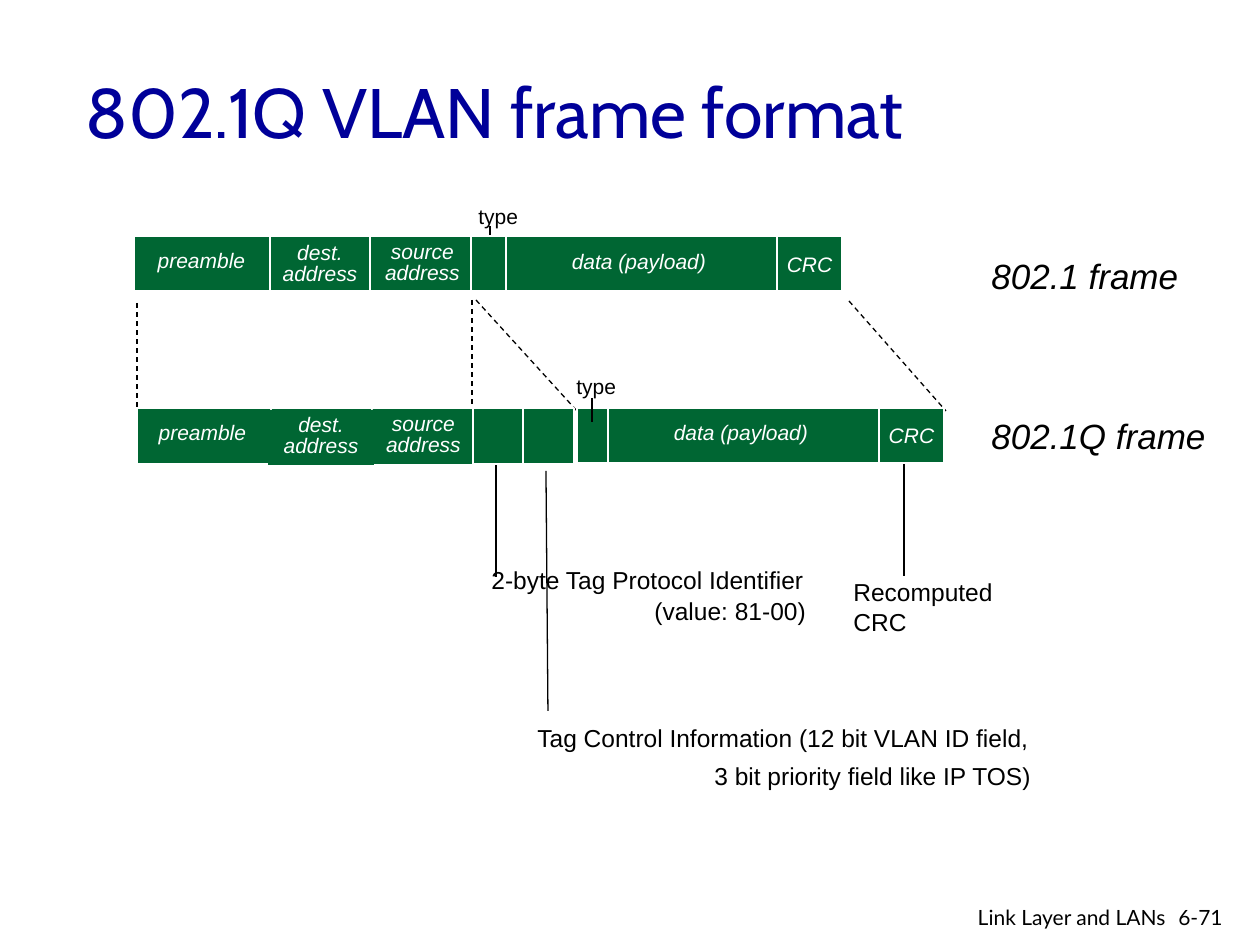
from pptx import Presentation
from pptx.dml.color import RGBColor
from pptx.enum.dml import MSO_LINE
from pptx.enum.shapes import MSO_CONNECTOR, MSO_SHAPE
from pptx.enum.text import MSO_ANCHOR, PP_ALIGN
from pptx.oxml.ns import qn
from pptx.util import Emu, Pt
from lxml import etree

PIXELS_PER_INCH = 126
STRAIGHT, RECTANGLE, DASH = MSO_CONNECTOR.STRAIGHT, MSO_SHAPE.RECTANGLE, MSO_LINE.DASH
LEFT, CENTER, RIGHT = PP_ALIGN.LEFT, PP_ALIGN.CENTER, PP_ALIGN.RIGHT
TOP, MIDDLE = MSO_ANCHOR.TOP, MSO_ANCHOR.MIDDLE
GREEN, WHITE, BLACK, NAVY = "006633", "FFFFFF", "000000", "000099"


def px(length):
    return Emu(round(length * 914400 / PIXELS_PER_INCH))


def color(value):
    return RGBColor.from_string(value)


class SlideBuilder:
    """Holds the text style and the current slide."""

    font_name = "Arial"
    footer_font = "Lato"
    title_font = "Cabin"

    def __init__(self, slide):
        self.slide = slide

    def set_font(self, paragraph, size, hue, name=None, italic=False):
        font = paragraph.font
        font.name, font.size, font.italic = name or self.font_name, Pt(size), italic
        font.color.rgb = color(hue)

    def title(self, text, x, y, width, height):
        shape = self.slide.shapes.title
        shape.left, shape.top, shape.width, shape.height = map(px, (x, y, width, height))
        shape.text_frame.text = text
        shape.text_frame.vertical_anchor = MIDDLE
        paragraph = shape.text_frame.paragraphs[0]
        paragraph.alignment = LEFT
        self.set_font(paragraph, 40, NAVY, self.title_font)

    def text(self, lines, x, y, width, height, size=12, hue=BLACK, name=None,
             italic=False, align=LEFT, anchor=TOP, wrap=False, spacing=None,
             gap=0, indent=0, fill=None):
        """Text box; gap and indent apply to the lines after the first."""
        shape = self.slide.shapes.add_textbox(*map(px, (x, y, width, height)))
        if fill:
            shape.fill.solid()
            shape.fill.fore_color.rgb = color(fill)
        frame = shape.text_frame
        frame.text = lines
        frame.word_wrap = wrap
        frame.vertical_anchor = anchor
        for number, paragraph in enumerate(frame.paragraphs):
            paragraph.alignment = align
            if spacing:
                paragraph.line_spacing = Pt(spacing)
            if number and gap:
                paragraph.space_before = Pt(gap)
            if number and indent:
                paragraph._p.get_or_add_pPr().set("marL", str(px(indent)))
            self.set_font(paragraph, size, hue, name, italic)

    def field_label(self, lines, x, y, width, height, fill=None):
        self.text(lines, x, y, width, height, hue=WHITE, italic=True,
                  align=CENTER, spacing=12, fill=fill)

    def bar(self, x, y, width, height):
        shape = self.slide.shapes.add_shape(RECTANGLE, *map(px, (x, y, width, height)))
        shape.shadow.inherit = False
        shape.fill.solid()
        shape.fill.fore_color.rgb = color(GREEN)
        shape.line.color.rgb = color(WHITE)
        shape.line.width = Pt(0.75)

    def line(self, x1, y1, x2, y2, hue=BLACK, width=0.75, dash=None):
        connector = self.slide.shapes.add_connector(STRAIGHT, *map(px, (x1, y1, x2, y2)))
        connector.line.color.rgb = color(hue)
        connector.line.width = Pt(width)
        if dash:
            connector.line.dash_style = dash
        etree.SubElement(connector._element.spPr, qn("a:effectLst"))

    def dividers(self, positions, y):
        for x in positions:
            self.line(x, y, x, y + 59, WHITE, 1.5)

    def address_labels(self, x, y, fill=None):
        self.field_label("dest.\naddress", x + 133, y + 1, 106, 55, fill)
        self.field_label("source\naddress", x + 238, y, 101, 55, fill)
        self.field_label("preamble", x + 11, y + 9, 113, 34, fill)

    def payload_labels(self, x, y):
        self.field_label("data (payload)", x, y, 164, 34)
        self.field_label("CRC", x + 217, y + 3, 71, 34)


def main():
    presentation = Presentation()
    presentation.slide_width, presentation.slide_height = px(1260), px(945)
    slide = presentation.slides.add_slide(presentation.slide_layouts[5])
    builder = SlideBuilder(slide)
    builder.title("802.1Q VLAN frame format", 73, 32, 1071, 157)

    # Dashed links between the two frames
    for link in ((137, 303, 137, 409), (472, 300, 472, 406),
                 (476, 300, 578, 412), (849, 301, 946, 411)):
        builder.line(*link, dash=DASH)

    # Callouts below the tagged frame
    builder.line(496, 465, 496, 577)
    builder.text("2-byte Tag Protocol Identifier\n(value: 81-00)", 479, 559, 345, 72,
                 size=14, anchor=MIDDLE, gap=1, indent=163)
    builder.line(546, 471, 548, 711)
    builder.text("Tag Control Information (12 bit VLAN ID field,\n"
                 "3 bit priority field like IP TOS)", 525, 717, 527, 79,
                 size=14, anchor=MIDDLE, gap=5, indent=177)
    builder.line(904, 464, 904, 576)
    builder.text("Recomputed\nCRC", 841, 573, 170, 67, size=14, anchor=MIDDLE)

    # Frame names
    builder.text("802.1 frame", 979, 248, 214, 55, size=20, italic=True)
    builder.text("802.1Q frame", 979, 408, 241, 55, size=20, italic=True)

    # 802.1 frame
    builder.text("type", 466, 197, 66, 38)
    builder.line(490, 226, 490, 249)
    builder.bar(134, 236, 708, 55)
    builder.dividers((270, 370, 471, 506, 777), 234)
    builder.address_labels(134, 237)
    builder.payload_labels(557, 247)

    # 802.1Q frame: addresses, payload, then the inserted tag
    builder.bar(137, 408, 338, 56)
    builder.dividers((271, 372, 473), 407)
    builder.address_labels(135, 409, GREEN)
    builder.bar(577, 408, 367, 55)
    builder.dividers((608, 879), 405)
    builder.payload_labels(659, 418)
    builder.text("type", 564, 367, 66, 38)
    builder.line(592, 398, 592, 422)
    builder.bar(473, 408, 101, 56)
    builder.dividers((523,), 408)

    # Footer
    builder.text("6-71", 1166, 898, 76, 38, name=builder.footer_font, wrap=True)
    builder.text("Link Layer and LANs", 878, 898, 300, 33, name=builder.footer_font,
                 align=RIGHT, wrap=True)

    presentation.save("out.pptx")


if __name__ == "__main__":
    main()
